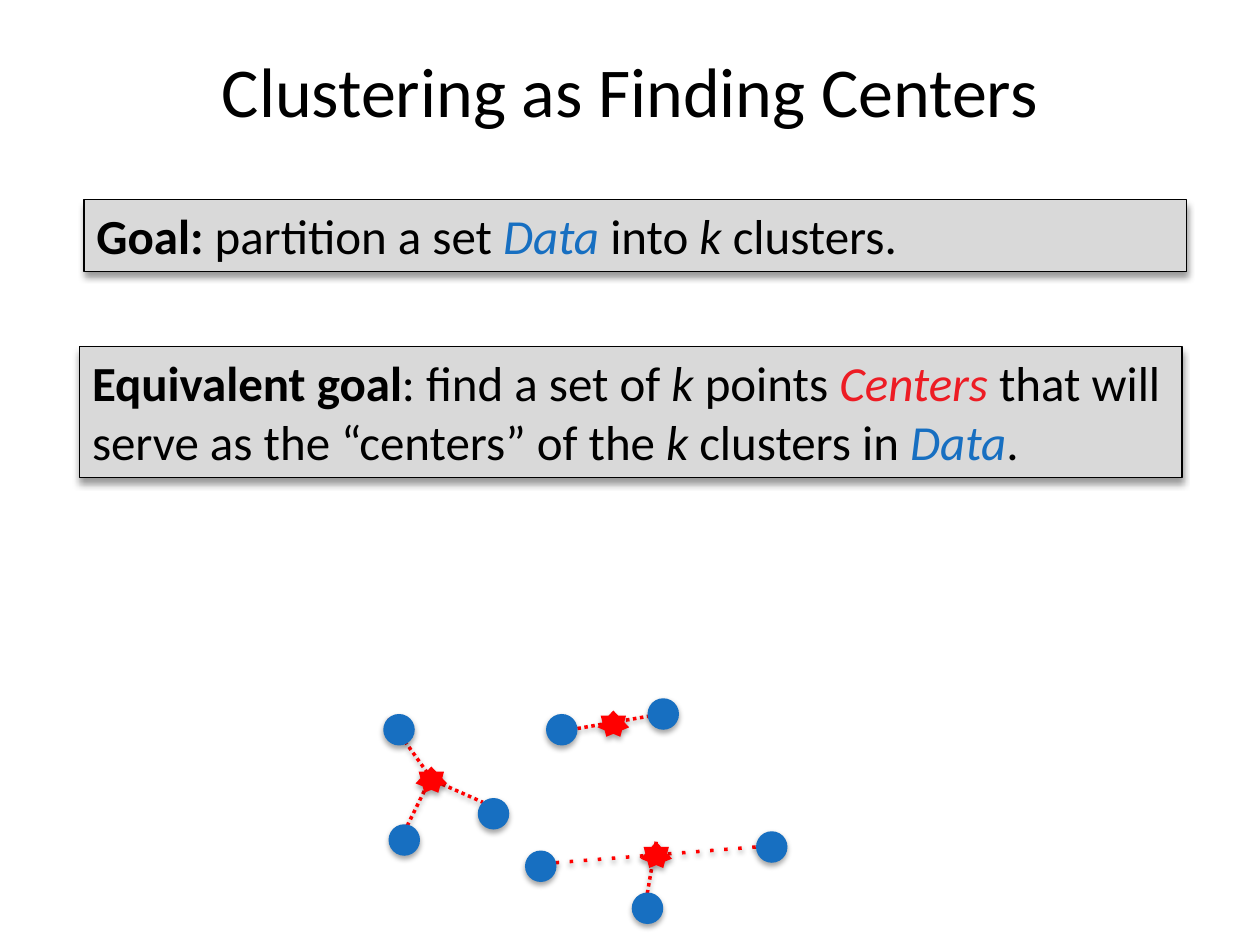
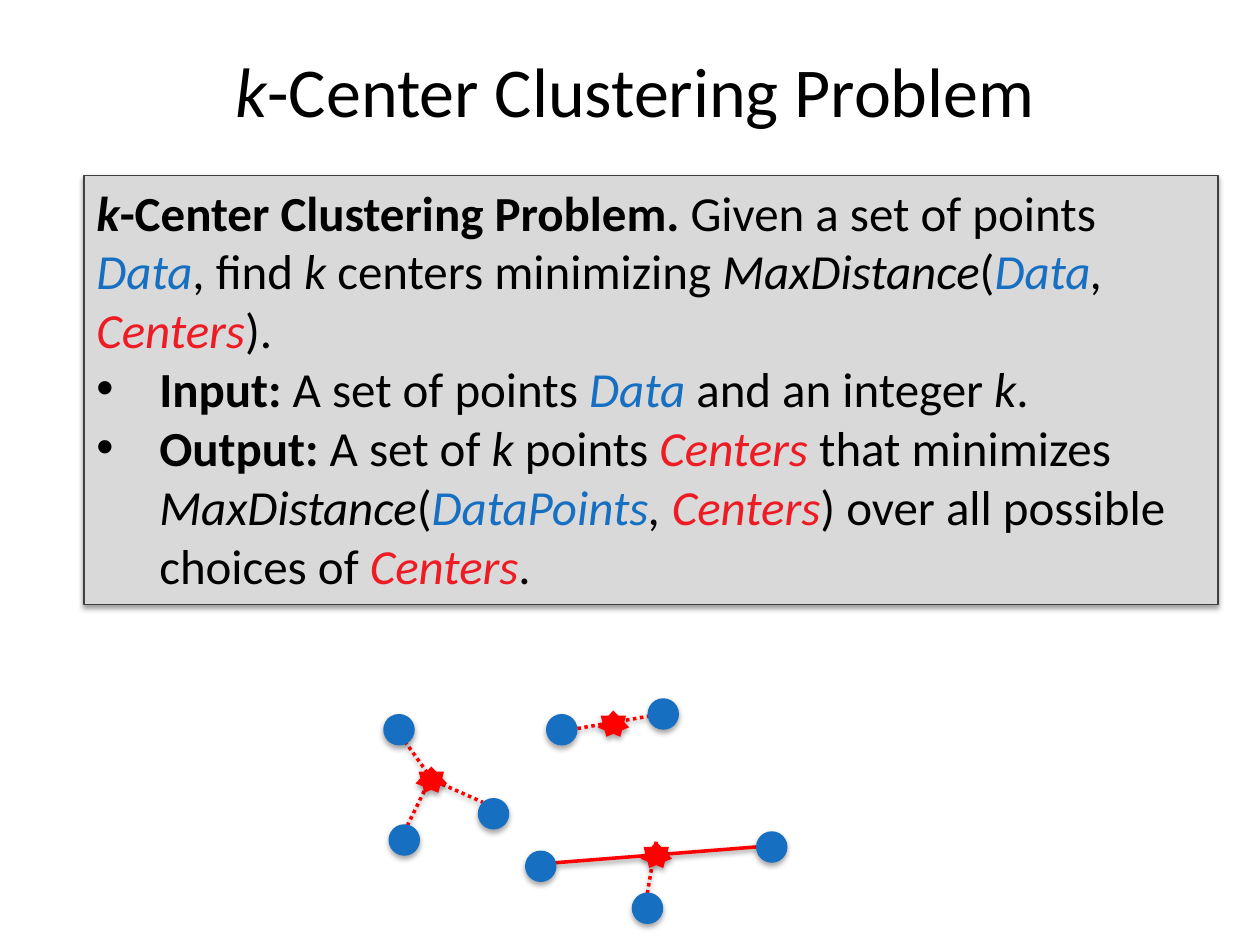
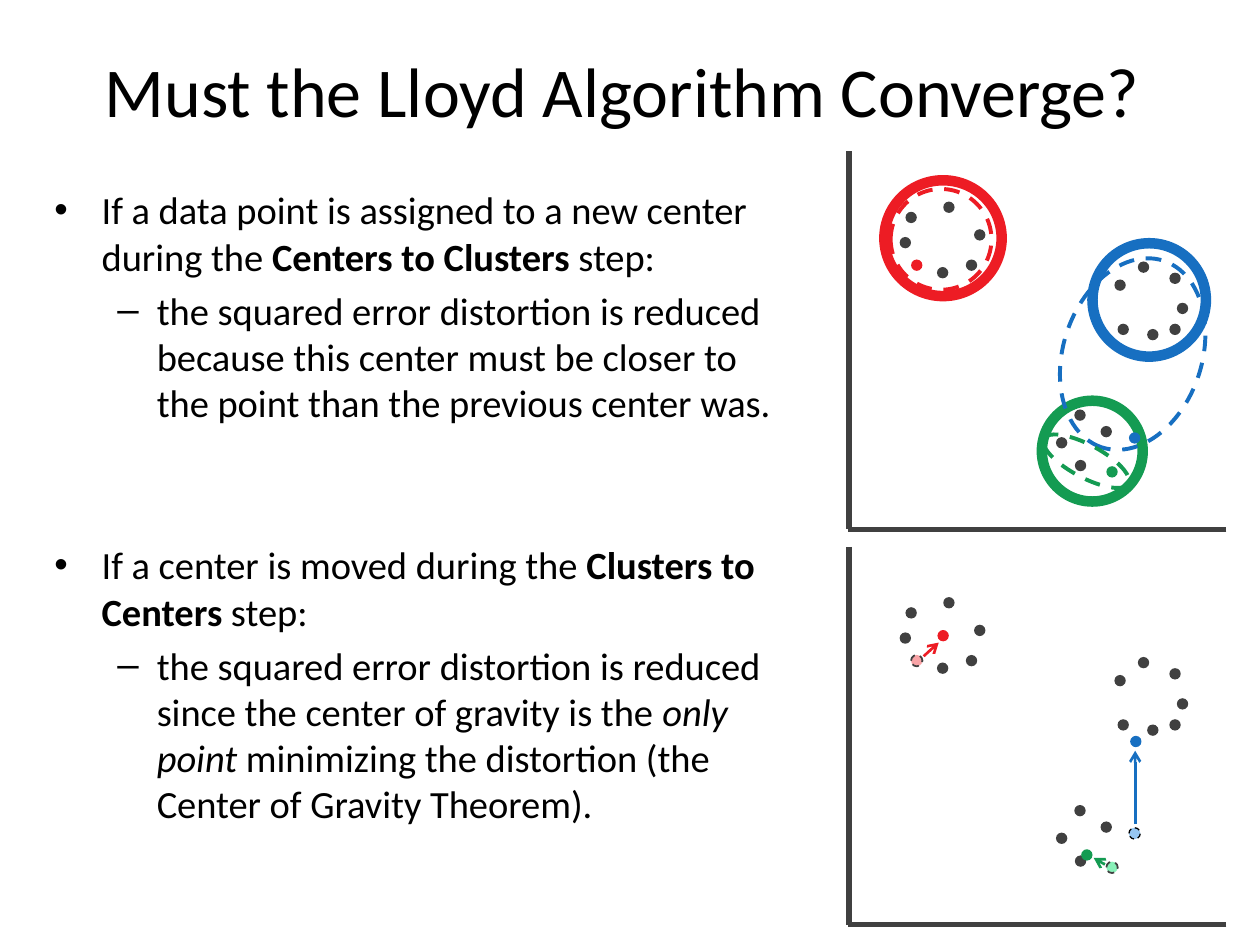
from lxml import etree
from pptx import Presentation
from pptx.dml.color import RGBColor
from pptx.enum.dml import MSO_LINE as Dash
from pptx.enum.shapes import MSO_CONNECTOR as Link, MSO_SHAPE as Preset
from pptx.enum.text import MSO_ANCHOR as Anchor, MSO_AUTO_SIZE as AutoSize, PP_ALIGN as Align
from pptx.oxml.ns import qn
from pptx.util import Pt

BLACK = RGBColor(0x00, 0x00, 0x00)
DARK = RGBColor(0x40, 0x40, 0x40)
PANEL = RGBColor(0xD9, 0xD9, 0xD9)
BLUE = RGBColor(0x17, 0x6F, 0xC1)
GREEN = RGBColor(0x14, 0x9B, 0x52)
CRIMSON = RGBColor(0xED, 0x1C, 0x24)
RED = RGBColor(0xFF, 0x00, 0x00)
PALE_BLUE = RGBColor(0x96, 0xC6, 0xF2)
PALE_GREEN = RGBColor(0x88, 0xF0, 0xB8)
PALE_RED = RGBColor(0xF8, 0xA4, 0xA7)

FONT = "Calibri"
PLAIN = {}
BOLD = {"bold": True}
ITALIC = {"italic": True}
BOLD_ITALIC = {"bold": True, "italic": True}
DATA = {"italic": True, "color": BLUE}
CENTERS = {"italic": True, "color": CRIMSON}

BOX_SHADOW = (40, 4, 3)
LINE_SHADOW = (38, 3.1, 1.6)
MARK_SHADOW = (35, 3.1, 1.8)


def write(para, text, size=28, bold=False, italic=False, color=BLACK):
    span = para.add_run()
    span.text = text
    span.font.name = FONT
    span.font.size = Pt(size)
    span.font.bold = bold
    span.font.italic = italic
    span.font.color.rgb = color


def finish(item, fill=None, line=None, width=0.75, dash=None, shadow=None, arrow=False):
    if fill is not None:
        item.fill.solid()
        item.fill.fore_color.rgb = fill
    elif hasattr(item, "fill"):
        item.fill.background()
    if line is not None:
        item.line.color.rgb = line
        item.line.width = Pt(width)
        if dash is not None:
            item.line.dash_style = dash
    else:
        item.line.fill.background()
    properties = item._element.spPr
    if arrow:
        etree.SubElement(properties.find(qn("a:ln")), qn("a:tailEnd"), type="arrow")
    effects = etree.SubElement(properties, qn("a:effectLst"))
    if shadow:
        alpha, blur, distance = shadow
        outer = etree.SubElement(effects, qn("a:outerShdw"), blurRad=str(Pt(blur)),
                                 dist=str(Pt(distance)), dir="5400000", rotWithShape="0")
        tint = etree.SubElement(outer, qn("a:srgbClr"), val="000000")
        etree.SubElement(tint, qn("a:alpha"), val=str(alpha * 1000))


deck = Presentation()
deck.slide_width = Pt(720)
deck.slide_height = Pt(540)

titles = [
    (36, 648, [("Clustering as Finding Centers", PLAIN)]),
    (6, 714, [("k", ITALIC), ("-Center Clustering Problem", PLAIN)]),
    (36, 648, [("Must the Lloyd Algorithm Converge? ", PLAIN)]),
]
pages = []
for left, width, spans in titles:
    page = deck.slides.add_slide(deck.slide_layouts[6])
    box = page.shapes.add_textbox(Pt(left), Pt(6), Pt(width), Pt(90))
    box.text_frame.word_wrap = True
    box.text_frame.vertical_anchor = Anchor.MIDDLE
    para = box.text_frame.paragraphs[0]
    para.alignment = Align.CENTER
    for text, style in spans:
        write(para, text, size=40, **style)
    pages.append(page)
goal_page, problem_page, converge_page = pages

data_points = [(273, 456), (300, 486), (432, 475), (361, 510),
               (222, 471), (370, 399), (312, 408), (219, 408)]
center_points = [(237.5, 438), (366, 481), (341.5, 406)]
short_links = [(249, 446.5, 276, 458.5), (242.5, 452, 227.5, 482.5), (326, 417, 378, 408),
               (368.5, 518.5, 375, 481), (222, 410.5, 247, 445.5)]
longest_link = (317.5, 493, 432, 484)

for page, longest_dash in [(goal_page, Dash.SQUARE_DOT), (problem_page, None)]:
    links = [(ends, Dash.ROUND_DOT) for ends in short_links] + [(longest_link, longest_dash)]
    for ends, dash in links:
        link = page.shapes.add_connector(Link.STRAIGHT, *map(Pt, ends))
        finish(link, line=RED, width=2, dash=dash, shadow=LINE_SHADOW)
        if dash == Dash.SQUARE_DOT:
            link.line._ln.find(qn("a:prstDash")).set("val", "dot")
    for left, top in data_points:
        point = page.shapes.add_shape(Preset.OVAL, Pt(left), Pt(top), Pt(18), Pt(18))
        finish(point, fill=BLUE, shadow=MARK_SHADOW)
    for left, top in center_points:
        star = page.shapes.add_shape(Preset.STAR_7_POINT, Pt(left), Pt(top), Pt(18), Pt(15))
        finish(star, fill=RED, shadow=MARK_SHADOW)

equivalent_goal = [[
    ("Equivalent goal", BOLD), (": find a set of ", PLAIN), ("k ", ITALIC), ("points ", PLAIN),
    ("Centers ", CENTERS), ("that will serve as the “centers” of the ", PLAIN), ("k", ITALIC),
    (" clusters in ", PLAIN), ("Data", DATA), (".", PLAIN)]]
goal = [[
    ("Goal:", BOLD), (" partition a set ", PLAIN), ("Data ", DATA), ("into ", PLAIN),
    ("k ", ITALIC), ("clusters.", PLAIN)]]
problem = [
    [("k", BOLD_ITALIC), ("-Center Clustering Problem.", BOLD), (" Given a set of points ", PLAIN),
     ("Data", DATA), (", find ", PLAIN), ("k", ITALIC), (" centers minimizing ", PLAIN),
     ("MaxDistance", ITALIC), ("(", PLAIN), ("Data", DATA), (", ", ITALIC),
     ("Centers", CENTERS), (").", PLAIN)],
    [("Input:", BOLD), (" A set of points ", PLAIN), ("Data ", DATA), ("and an integer ", PLAIN),
     ("k", ITALIC), (".", PLAIN)],
    [("Output:", BOLD), (" A set of ", PLAIN), ("k", ITALIC), (" points ", PLAIN),
     ("Centers ", CENTERS), ("that minimizes ", PLAIN), ("MaxDistance", ITALIC), ("(", PLAIN),
     ("DataPoints", DATA), (", ", ITALIC), ("Centers", CENTERS),
     (") over all possible choices of ", PLAIN), ("Centers", CENTERS), (".", PLAIN)],
]
statements = [
    (goal_page, (45.5, 198, 630, 75), BLACK, BOX_SHADOW, equivalent_goal),
    (goal_page, (48, 114, 630, 41), BLACK, BOX_SHADOW, goal),
    (problem_page, (48, 100.5, 648, 245), DARK, LINE_SHADOW, problem),
]
bullets = []
for page, place, outline, shadow, paragraphs in statements:
    box = page.shapes.add_shape(Preset.RECTANGLE, *map(Pt, place))
    finish(box, fill=PANEL, line=outline, shadow=shadow)
    frame = box.text_frame
    frame.word_wrap = True
    frame.auto_size = AutoSize.SHAPE_TO_FIT_TEXT
    frame.vertical_anchor = Anchor.TOP
    for number, spans in enumerate(paragraphs):
        para = frame.add_paragraph() if number else frame.paragraphs[0]
        para.alignment = Align.LEFT
        if number:
            bullets.append((para, "•", 36, -36))
        for text, style in spans:
            write(para, text, **style)

reasons = [
    (0, 0, [("If a data point is assigned to a new center during the ", PLAIN),
            ("Centers to Clusters ", BOLD), ("step:", PLAIN)]),
    (1, 4.4, [("the squared error distortion is reduced because this center must be closer to "
               "the point than the previous center was.", PLAIN)]),
    (0, 66.5, [("If a center is moved during the ", PLAIN), ("Clusters to Centers", BOLD),
               (" step:", PLAIN)]),
    (1, 4.4, [("the squared error distortion is reduced since the center of gravity is the ", PLAIN),
              ("only point", ITALIC),
              (" minimizing the distortion (the Center of Gravity Theorem).", PLAIN)]),
]
box = converge_page.shapes.add_textbox(Pt(24), Pt(103), Pt(438), Pt(414))
box.text_frame.word_wrap = True
for number, (level, gap, spans) in enumerate(reasons):
    para = box.text_frame.add_paragraph() if number else box.text_frame.paragraphs[0]
    para.level = level
    para.space_before = Pt(gap)
    bullets.append((para, "–", 58.5, -22.5) if level else (para, "•", 27, -27))
    for text, style in spans:
        write(para, text, size=22, **style)

for para, mark, margin, indent in bullets:
    properties = para._p.get_or_add_pPr()
    properties.set("marL", str(Pt(margin)))
    properties.set("indent", str(Pt(indent)))
    etree.SubElement(properties, qn("a:buFont"), typeface="Arial")
    etree.SubElement(properties, qn("a:buChar"), char=mark)

shapes = converge_page.shapes
DOT = 6.5
PANEL_STEP = 226
gray_dots = [
    (672.5, 173), (655.5, 188), (668.2, 185), (668.2, 155.8), (636.8, 159.7), (650.2, 149.4),
    (638.6, 185), (613.9, 234), (614.2, 262.8), (603.4, 249.8), (628.9, 243.4), (514.1, 135.4),
    (535.4, 152.6), (556.6, 131), (539, 115.2), (517.4, 121), (551.9, 148.3),
]
old_centers = [
    (645.1, 247, BLUE, PALE_BLUE, BLACK, 0.75),
    (632.2, 266.4, GREEN, PALE_GREEN, DARK, 1),
    (520.6, 148.3, CRIMSON, PALE_RED, DARK, 1),
]
new_rings = [(624.3, 139, 64.8, 64.8, 0, BLUE), (595.4, 229, 57.6, 57.6, 0, GREEN),
             (505.4, 103, 67, 66.2, 0, CRIMSON)]
old_rings = [(509, 108, 57.6, 57.6, 0, CRIMSON), (591.1, 162.7, 112.3, 79.2, 288.4, BLUE),
             (593.3, 254.2, 54.7, 18.7, 28.1, GREEN)]
moves = [
    (645.8, 420.5, BLUE, (648.7, 471, 648.7, 429)),
    (617.8, 485.3, GREEN, (631.4, 494, 625, 490.3)),
    (535.7, 360, CRIMSON, (527.8, 375, 536.4, 367.2)),
]

for left, top, width, height, turn, color in new_rings:
    ring = shapes.add_shape(Preset.OVAL, Pt(left), Pt(top), Pt(width), Pt(height))
    finish(ring, line=color, width=6)

for panel in range(2):
    shift = panel * PANEL_STEP
    for ends in [(485.2, 86.5, 485.2, 302.5), (700.8, 302.5, 484.8, 302.5)]:
        x1, y1, x2, y2 = ends
        axis = shapes.add_connector(Link.STRAIGHT, Pt(x1), Pt(y1 + shift), Pt(x2), Pt(y2 + shift))
        finish(axis, line=DARK, width=3)
    for left, top in gray_dots:
        dot = shapes.add_shape(Preset.OVAL, Pt(left), Pt(top + shift), Pt(DOT), Pt(DOT))
        finish(dot, fill=DARK)
    for left, top, color, pale, outline, width in old_centers:
        dot = shapes.add_shape(Preset.OVAL, Pt(left), Pt(top + shift), Pt(DOT), Pt(DOT))
        if panel:
            finish(dot, fill=pale, line=outline, width=width, dash=Dash.DASH)
        else:
            finish(dot, fill=color)

for left, top, width, height, turn, color in old_rings:
    ring = shapes.add_shape(Preset.OVAL, Pt(left), Pt(top), Pt(width), Pt(height))
    ring.rotation = turn
    finish(ring, line=color, width=2.25, dash=Dash.DASH)

for left, top, color, ends in moves:
    dot = shapes.add_shape(Preset.OVAL, Pt(left), Pt(top), Pt(DOT), Pt(DOT))
    finish(dot, fill=color)
    arrow = shapes.add_connector(Link.STRAIGHT, *map(Pt, ends))
    finish(arrow, line=color, width=1.5, arrow=True)

deck.save("out.pptx")
